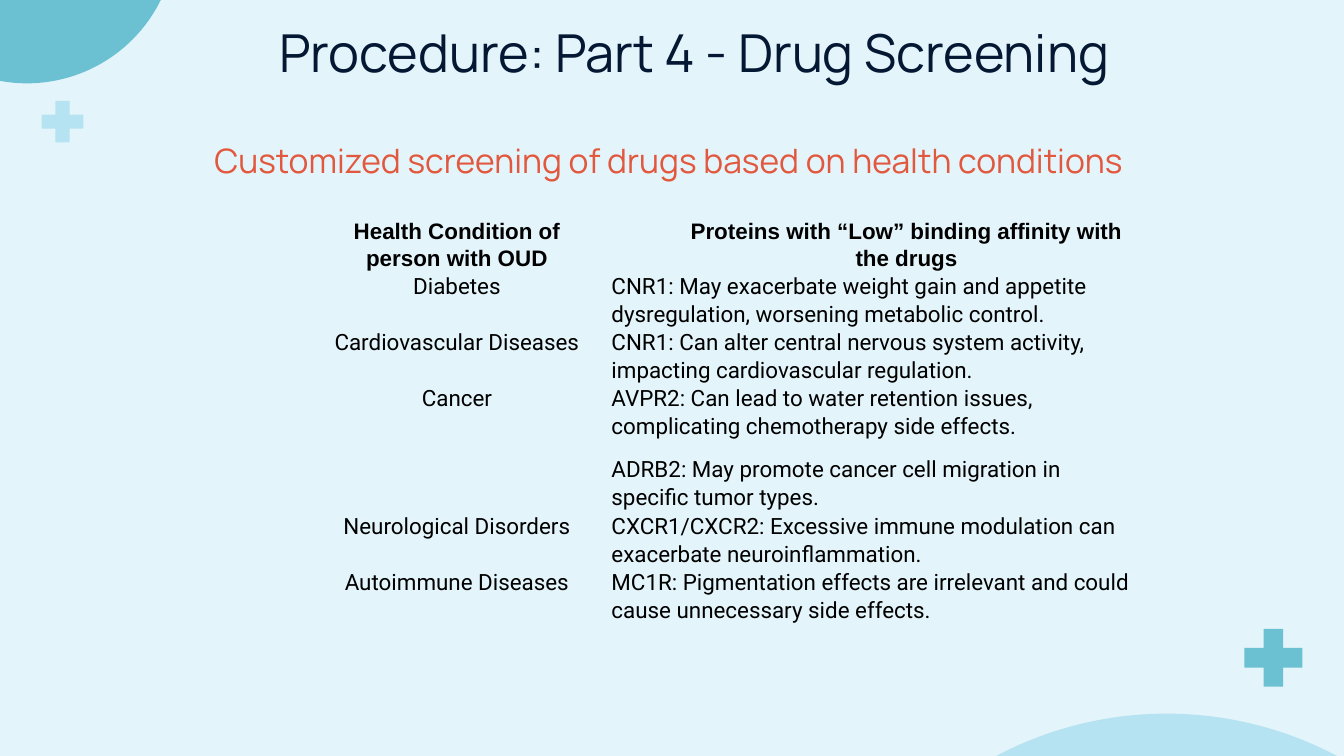
import pptx
import pptx.dml.color
import pptx.enum.shapes
import pptx.enum.text
import pptx.util
from pptx.util import Inches

COLORS = {
    "background": "E3F4FA",
    "teal": "6BC1D1",
    "sky": "B6E3F1",
    "navy": "041834",
    "coral": "E2583E",
    "black": "000000",
}
ALIGN = pptx.enum.text.PP_ALIGN
ANCHOR = pptx.enum.text.MSO_ANCHOR
SHAPE = pptx.enum.shapes.MSO_SHAPE
NO_STYLE_NO_GRID = "{2D5ABB26-0587-4C30-8999-92F81FD0307C}"


def rgb(name):
    return pptx.dml.color.RGBColor.from_string(COLORS[name])


def format_text(frame, font, size, color, align, bold=False):
    for para in frame.paragraphs:
        para.alignment = align
        for span in para.runs:
            span.font.name = font
            span.font.size = pptx.util.Pt(size)
            span.font.bold = bold
            span.font.color.rgb = rgb(color)


# Widescreen page, 16:9
deck = pptx.Presentation()
deck.slide_width = Inches(10)
deck.slide_height = Inches(10 * 9 / 16)
page = deck.slides.add_slide(deck.slide_layouts[5])
page.background.fill.solid()
page.background.fill.fore_color.rgb = rgb("background")

# Corner circles and plus signs
decorations = [
    (SHAPE.OVAL, -0.91, -1.6, 2.22, "teal"),
    (SHAPE.OVAL, 5.97, 5.31, 5.42, "sky"),
    (SHAPE.CROSS, 0.31, 0.75, 0.31, "sky"),
    (SHAPE.CROSS, 9.26, 4.68, 0.43, "teal"),
]
for kind, left, top, size, color in decorations:
    shape = page.shapes.add_shape(
        kind, Inches(left), Inches(top), Inches(size), Inches(size))
    if kind == SHAPE.CROSS:
        shape.adjustments[0] = 0.33
    shape.shadow.inherit = False
    shape.fill.solid()
    shape.fill.fore_color.rgb = rgb(color)
    shape.line.fill.background()

# Title and subtitle
title = page.shapes.title
title.left, title.top = Inches(0.95), Inches(0.05)
title.width, title.height = Inches(8.43), Inches(0.63)
title.text_frame.text = "Procedure: Part 4 - Drug Screening"
title.text_frame.vertical_anchor = ANCHOR.TOP
format_text(title.text_frame, "Manrope", 28, "navy", ALIGN.CENTER)

subtitle = page.shapes.add_textbox(
    Inches(0), Inches(0.93), Inches(10), Inches(0.51))
subtitle.text_frame.text = "Customized screening of drugs based on health conditions "
subtitle.text_frame.vertical_anchor = ANCHOR.BOTTOM
format_text(subtitle.text_frame, "Manrope", 18, "coral", ALIGN.CENTER)

for box in (title, subtitle):
    frame = box.text_frame
    frame.word_wrap = True
    frame.auto_size = pptx.enum.text.MSO_AUTO_SIZE.NONE
    frame.margin_left = frame.margin_right = Inches(0.1)
    frame.margin_top = frame.margin_bottom = Inches(0.1)

# Table of conditions and proteins
rows = [
    ("Health Condition of person with OUD",
     "Proteins with “Low” binding affinity with the drugs"),
    ("Diabetes",
     "CNR1: May exacerbate weight gain and appetite dysregulation, "
     "worsening metabolic control."),
    ("Cardiovascular Diseases",
     "CNR1: Can alter central nervous system activity, "
     "impacting cardiovascular regulation."),
    ("Cancer",
     "AVPR2: Can lead to water retention issues, "
     "complicating chemotherapy side effects.\n"
     "ADRB2: May promote cancer cell migration in specific tumor types."),
    ("Neurological Disorders",
     "CXCR1/CXCR2: Excessive immune modulation can "
     "exacerbate neuroinflammation."),
    ("Autoimmune Diseases",
     "MC1R: Pigmentation effects are irrelevant and could "
     "cause unnecessary side effects."),
]
table = page.shapes.add_table(
    len(rows), 2, Inches(1.82), Inches(1.62), Inches(6.69), Inches(3.0)).table
table.first_row = False
table.horz_banding = False
table._tbl.tblPr[0].text = NO_STYLE_NO_GRID
table.columns[0].width = Inches(2.66)
table.columns[1].width = Inches(4.03)

for row_index, texts in enumerate(rows):
    header = row_index == 0
    table.rows[row_index].height = Inches(0.95 if "\n" in texts[1] else 0.4)
    for column_index, text in enumerate(texts):
        cell = table.cell(row_index, column_index)
        cell.fill.background()
        cell.margin_left = cell.margin_right = Inches(0.07)
        cell.margin_top = cell.margin_bottom = 0
        cell.text_frame.text = text
        centered = header or column_index == 0
        format_text(cell.text_frame, "Arial" if header else "Roboto", 12, "black",
                    ALIGN.CENTER if centered else ALIGN.LEFT, header)
        for para in cell.text_frame.paragraphs:
            para.line_spacing = 1.07
            para.space_after = pptx.util.Pt(8)
            if centered:
                properties = para._p.get_or_add_pPr()
                properties.set("marL", str(Inches(0.5)))
                properties.set("indent", "0")

deck.save("out.pptx")
